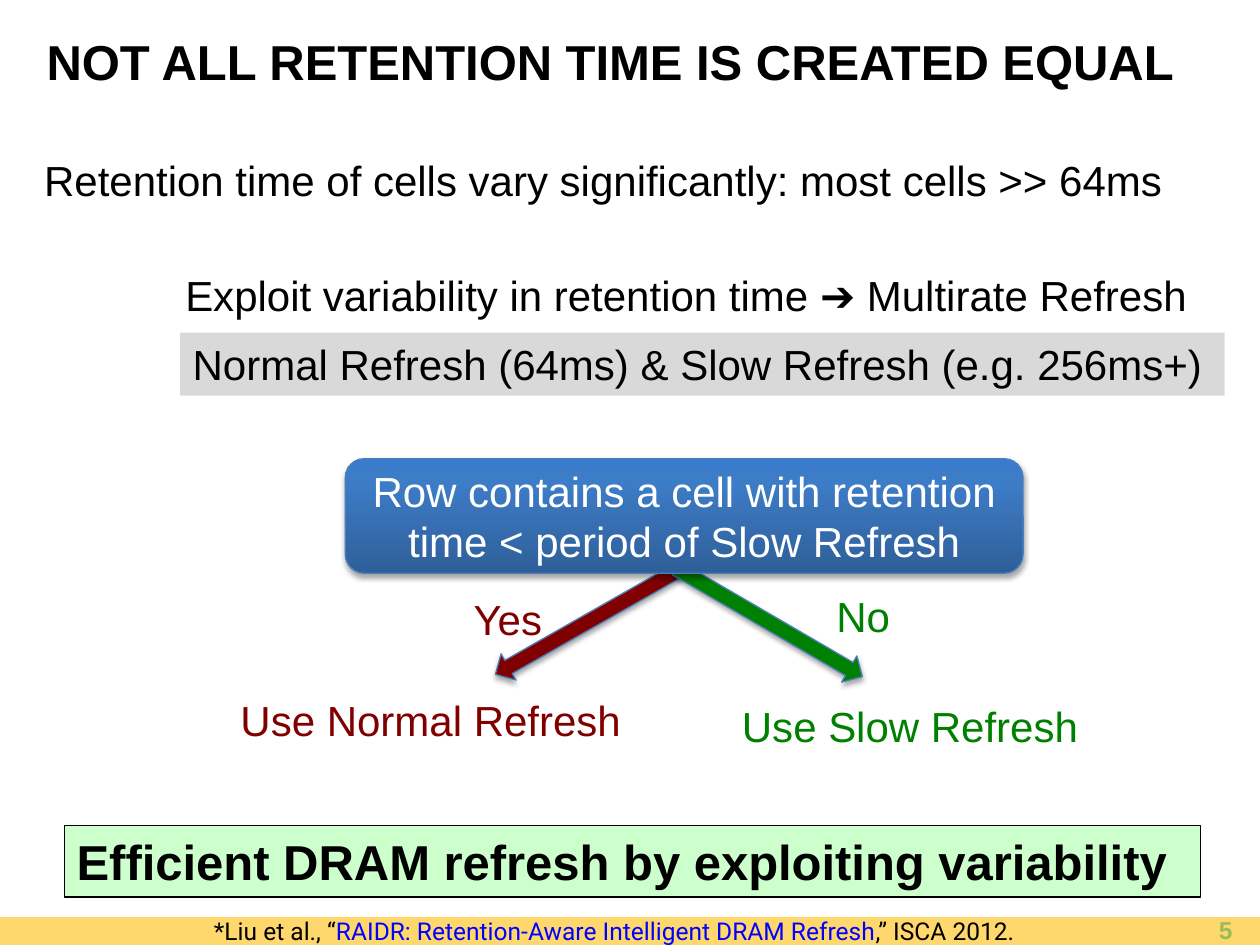
from copy import deepcopy

from lxml import etree
from pptx import Presentation
from pptx import util as u
from pptx.dml.color import RGBColor
from pptx.enum import shapes, text
from pptx.oxml import ns

COLORS = {
    "black": "000000", "white": "FFFFFF", "band": "FFD86D", "mint": "CCFFCC",
    "gray": "D9D9D9", "yes": "800000", "no": "008000", "outline": "4B7EBC",
    "number": "9BBB59", "link": "0000FF",
}
GRADIENT = [(0, "2F5F99"), (0.8, "3D7CC7"), (1, "3A7CCB")]
SHAPE = shapes.MSO_SHAPE
ALIGN = text.PP_ALIGN
ANCHOR = text.MSO_ANCHOR
FIT = text.MSO_AUTO_SIZE


def rgb(name):
    return RGBColor.from_string(COLORS[name])


def place(sp, box):
    sp.left, sp.top, sp.width, sp.height = map(u.Inches, box)


def write(sp, *runs, size=24, font="Arial", color="black", bold=False,
          align=ALIGN.LEFT, anchor=ANCHOR.TOP, wrap=True, fit=FIT.NONE):
    tf = sp.text_frame
    tf.word_wrap = wrap
    tf.auto_size = fit
    tf.vertical_anchor = anchor
    p = tf.paragraphs[0]
    p.alignment = align
    p.space_before = u.Pt(0)
    for run in runs:
        content, run_color = run if isinstance(run, tuple) else (run, color)
        r = p.add_run()
        r.text = content
        r.font.name = font
        r.font.size = u.Pt(size)
        r.font.bold = bold
        r.font.color.rgb = rgb(run_color)


def add_label(s, box, *runs, **fmt):
    sp = s.shapes.add_textbox(*map(u.Inches, box))
    write(sp, *runs, **fmt)


def add_block(s, kind, box, fill=None, line=None):
    sp = s.shapes.add_shape(kind, *map(u.Inches, box))
    sp.shadow.inherit = False
    if fill:
        sp.fill.solid()
        sp.fill.fore_color.rgb = rgb(fill)
    if line:
        sp.line.color.rgb = rgb(line)
        sp.line.width = u.Pt(0.75)
    else:
        sp.line.fill.background()
    return sp


def add_shadow(sp):
    effects = sp._element.spPr.find(ns.qn("a:effectLst"))
    shadow = etree.SubElement(
        effects, ns.qn("a:outerShdw"), blurRad=str(u.Pt(3.1)),
        dist=str(u.Pt(1.8)), dir="5400000", rotWithShape="0")
    color = etree.SubElement(shadow, ns.qn("a:srgbClr"), val=COLORS["black"])
    etree.SubElement(color, ns.qn("a:alpha"), val="35000")


def fill_gradient(sp):
    sp.fill.gradient()
    sp.fill.gradient_angle = 90
    stops = sp._element.spPr.find(ns.qn("a:gradFill")).find(ns.qn("a:gsLst"))
    stops.append(deepcopy(stops[-1]))
    for stop, (position, color) in zip(sp.fill.gradient_stops, GRADIENT):
        stop.position = position
        stop.color.rgb = RGBColor.from_string(color)


def add_branch(s, color, arrow, angle, labels):
    sp = add_block(s, SHAPE.RIGHT_ARROW, arrow, color, "outline")
    sp.rotation = angle
    add_shadow(sp)
    for box, content in labels:
        add_label(s, box, content, color=color, wrap=False, fit=FIT.SHAPE_TO_FIT_TEXT)


def add_decision(s, box, content):
    sp = add_block(s, SHAPE.ROUNDED_RECTANGLE, box, line="outline")
    fill_gradient(sp)
    add_shadow(sp)
    write(sp, content, color="white", align=ALIGN.CENTER, anchor=ANCHOR.MIDDLE)


def fill_placeholders(s):
    title, body = s.placeholders
    place(title, (0.27, 0.22, 9.17, 0.53))
    write(title, "NOT ALL RETENTION TIME IS CREATED EQUAL",
          size=28, bold=True, anchor=ANCHOR.MIDDLE)
    place(body, (0.25, 1.18, 9.75, 0.73))
    pPr = body.text_frame.paragraphs[0]._p.get_or_add_pPr()
    pPr.set("marL", str(u.Inches(0.38)))
    pPr.set("indent", str(-u.Inches(0.38)))
    etree.SubElement(pPr, ns.qn("a:buNone"))
    write(body, "Retention time of cells vary significantly: most cells >> 64ms")


def main():
    prs = Presentation()
    prs.slide_width, prs.slide_height = u.Inches(10), u.Inches(7.5)
    s = prs.slides.add_slide(prs.slide_layouts[1])
    fill_placeholders(s)

    add_block(s, SHAPE.RECTANGLE, (0, 7.28, 10, 0.23), "band")
    add_label(s, (7.55, 7.25, 2.33, 0.26), "5", size=14, color="number",
              bold=True, align=ALIGN.RIGHT, anchor=ANCHOR.MIDDLE)

    conclusion = add_block(s, SHAPE.RECTANGLE, (0.51, 6.55, 9.02, 0.57), "mint", "black")
    write(conclusion, "Efficient DRAM refresh by exploiting variability",
          size=28, bold=True, fit=FIT.SHAPE_TO_FIT_TEXT)

    add_label(s, (1.28, 2.09, 8.4, 0.5),
              " Exploit variability in retention time ➔ Multirate Refresh",
              wrap=False, fit=FIT.SHAPE_TO_FIT_TEXT)
    rates = add_block(s, SHAPE.RECTANGLE, (1.43, 2.64, 8.29, 0.5), "gray")
    write(rates, "Normal Refresh (64ms) & Slow Refresh (e.g. 256ms+)", wrap=False)

    add_branch(s, "yes", (3.82, 4.81, 1.71, 0.24), 150.4,
               [((3.66, 4.66, 0.75, 0.5), "Yes"),
                ((1.81, 5.46, 3.25, 0.5), "Use Normal Refresh")])
    add_branch(s, "no", (5.25, 4.82, 1.71, 0.24), 30.2,
               [((6.54, 4.64, 0.63, 0.5), "No"),
                ((5.79, 5.51, 2.9, 0.5), "Use Slow Refresh")])
    add_decision(s, (2.74, 3.64, 5.38, 0.91),
                 "Row contains a cell with retention time < period of Slow Refresh")

    add_label(s, (1.6, 7.22, 6.97, 0.34), "*Liu et al., “",
              ("RAIDR: Retention-Aware Intelligent DRAM Refresh", "link"),
              ",” ISCA 2012.", size=14, font="Roboto", fit=FIT.SHAPE_TO_FIT_TEXT)
    prs.save("out.pptx")


if __name__ == "__main__":
    main()
